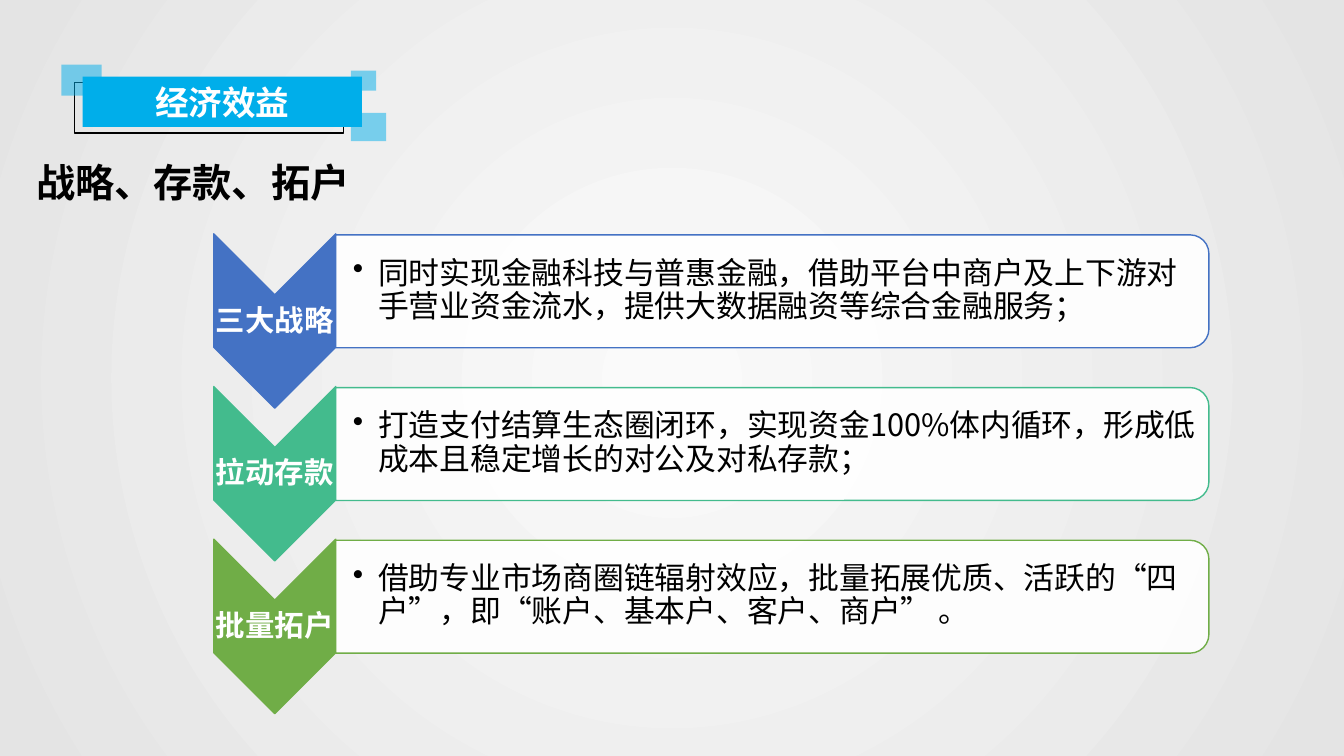
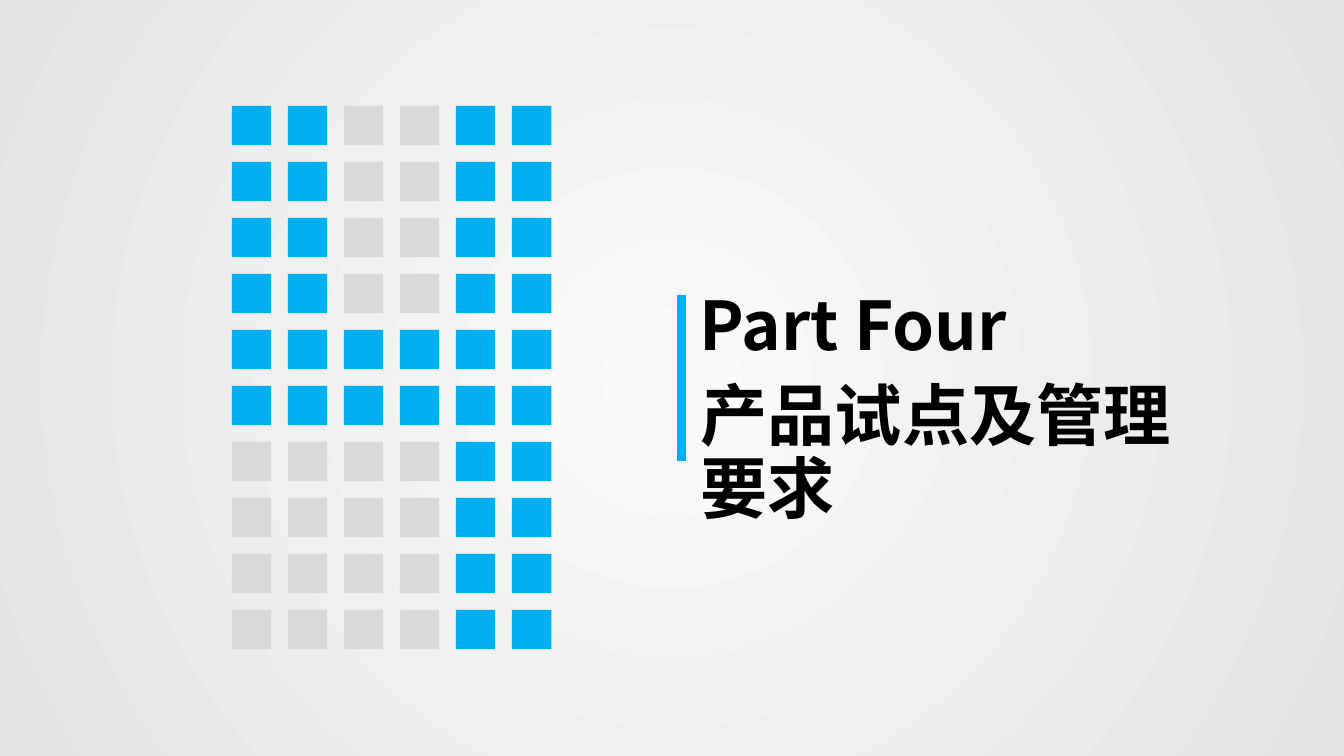
"""Build an economic benefits slide and a section slide."""
import pptx
import pptx.dml.color
import pptx.enum.shapes
import pptx.enum.text
import pptx.oxml.ns
import pptx.oxml.xmlchemy
import pptx.util

Inches = pptx.util.Inches
SHAPE = pptx.enum.shapes.MSO_SHAPE
ALIGN = pptx.enum.text.PP_ALIGN
ANCHOR = pptx.enum.text.MSO_ANCHOR
qn = pptx.oxml.ns.qn


def element(tag, **attributes):
    node = pptx.oxml.xmlchemy.OxmlElement(tag)
    for name, value in attributes.items():
        node.set(name, str(value))
    return node


class Deck:
    FONT = "Noto Sans CJK SC"
    COLORS = {
        "center": "FAFAFA", "edge": "E4E4E4", "black": "000000",
        "white": "FFFFFF", "banner": "00AEEA", "lit": "00B0F0",
        "unlit": "D9D9D9", "strategy": "4472C4", "deposit": "43BB8D",
        "customer": "70AD47",
    }

    def __init__(self):
        self.prs = pptx.Presentation()
        self.prs.slide_width = Inches(13.33)
        self.prs.slide_height = Inches(7.5)
        self.slide = None
        self.backdrop()

    def rgb(self, color):
        return pptx.dml.color.RGBColor.from_string(self.COLORS[color])

    def backdrop(self):
        master = self.prs.slide_master
        fill = master.background.fill
        fill.gradient()
        for stop, color in zip(fill.gradient_stops, ("center", "edge")):
            stop.color.rgb = self.rgb(color)
        gradient = master.element.find(".//" + qn("a:gradFill"))
        circle = element("a:path", path="circle")
        circle.append(element("a:fillToRect", l=50000, t=50000,
                              r=50000, b=50000))
        gradient.replace(gradient.find(qn("a:lin")), circle)

    def new_slide(self):
        self.slide = self.prs.slides.add_slide(self.prs.slide_layouts[6])

    def shape(self, kind, left, top, width, height, fill=None, line=None,
              opacity=100, turned=False):
        if turned:
            shift = (width - height) / 2
            left, top = left + shift, top - shift
            width, height = height, width
        shape = self.slide.shapes.add_shape(
            kind, Inches(left), Inches(top), Inches(width), Inches(height))
        shape.rotation = 90 if turned else 0
        shape.shadow.inherit = False
        if fill:
            shape.fill.solid()
            shape.fill.fore_color.rgb = self.rgb(fill)
        else:
            shape.fill.background()
        if opacity < 100:
            shape.element.spPr.find(".//" + qn("a:srgbClr")).append(
                element("a:alpha", val=opacity * 1000))
        if line:
            shape.line.color.rgb = self.rgb(line)
            shape.line.width = pptx.util.Pt(1)
        else:
            shape.line.fill.background()
        return shape

    def add_words(self, frame, words, size, color="black", bold=True,
                  align=ALIGN.LEFT, spacing=None, before=None):
        frame.word_wrap = True
        paragraph = frame.paragraphs[0]
        paragraph.alignment = align
        paragraph.line_spacing = spacing
        if before:
            paragraph.space_before = pptx.util.Pt(before)
        run = paragraph.add_run()
        run.text = words
        run.font.size = pptx.util.Pt(size)
        run.font.bold = bold
        run.font.color.rgb = self.rgb(color)
        run.font.name = self.FONT
        run.font._element.find(qn("a:latin")).addnext(
            element("a:ea", typeface=self.FONT))
        return paragraph

    def text(self, left, top, width, height, words, size,
             insets=(0.1, 0.05, 0.1, 0.05), anchor=ANCHOR.TOP, **style):
        frame = self.slide.shapes.add_textbox(
            Inches(left), Inches(top), Inches(width), Inches(height)).text_frame
        (frame.margin_left, frame.margin_top, frame.margin_right,
         frame.margin_bottom) = map(Inches, insets)
        frame.vertical_anchor = anchor
        return self.add_words(frame, words, size, **style)

    def bullet(self, paragraph, indent):
        props = paragraph._p.get_or_add_pPr()
        props.set("marL", str(Inches(indent)))
        props.set("indent", str(-Inches(indent)))
        props.append(element("a:buChar", char="•"))

    def banner(self, words):
        self.shape(SHAPE.RECTANGLE, 0.74, 0.82, 2.67, 0.5, line="black")
        for corner in ((3.48, 1.12, 0.35, 0.28), (3.48, 0.7, 0.25, 0.2),
                       (0.61, 0.64, 0.4, 0.31)):
            self.shape(SHAPE.RECTANGLE, *corner, fill="banner", opacity=50)
        plate = self.shape(SHAPE.RECTANGLE, 0.82, 0.76, 2.77, 0.5, "banner")
        plate.text_frame.vertical_anchor = ANCHOR.MIDDLE
        self.add_words(plate.text_frame, words, 24, "white",
                       align=ALIGN.CENTER)

    def benefit(self, top, color, label, detail):
        self.shape(SHAPE.CHEVRON, 2.12, top, 1.21, 1.73, color, color,
                   turned=True)
        self.text(2.12, top + 0.61, 1.21, 0.52, label, 21, (0.01,) * 4,
                  ANCHOR.MIDDLE, color="white", align=ALIGN.CENTER, spacing=0.9)
        self.shape(SHAPE.ROUND_2_SAME_RECTANGLE, 3.33, top + 0.01, 8.66, 1.12,
                   "white", color, opacity=90, turned=True)
        paragraph = self.text(3.33, top + 0.06, 8.61, 1.01, detail, 22,
                              (0.17, 0.02, 0.02, 0.02), ANCHOR.MIDDLE,
                              bold=False, spacing=0.9)
        self.bullet(paragraph, 0.25)

    def mosaic(self, left, top, side, pitch, rows):
        for row, cells in enumerate(rows):
            for column, cell in enumerate(cells):
                self.shape(SHAPE.RECTANGLE, left + column * pitch,
                           top + row * pitch, side, side,
                           "lit" if cell == "#" else "unlit")

    def rule(self, x, top, bottom, color, width):
        rule = self.slide.shapes.add_connector(
            pptx.enum.shapes.MSO_CONNECTOR.STRAIGHT,
            Inches(x), Inches(top), Inches(x), Inches(bottom))
        rule.line.color.rgb = self.rgb(color)
        rule.line.width = pptx.util.Pt(width)
        rule._element.spPr.append(element("a:effectLst"))


def benefits_slide(deck):
    deck.new_slide()
    benefits = (
        ("strategy", "三大战略",
         "同时实现金融科技与普惠金融，借助平台中商户及上下游对手营业资金流水，提供大数据融资等综合金融服务；"),
        ("deposit", "拉动存款",
         "打造支付结算生态圈闭环，实现资金100%体内循环，形成低成本且稳定增长的对公及对私存款；"),
        ("customer", "批量拓户",
         "借助专业市场商圈链辐射效应，批量拓展优质、活跃的“四户”，即“账户、基本户、客户、商户” 。"),
    )
    for index, benefit in enumerate(benefits):
        deck.benefit(2.32 + index * 3.03 / 2, *benefit)
    deck.text(0.26, 1.52, 9.45, 0.57, "战略、存款、拓户", 28)
    deck.banner("经济效益")


def section_slide(deck):
    deck.new_slide()
    four = ["##..##"] * 4 + ["######"] * 2 + ["....##"] * 4
    deck.mosaic(2.3, 1.05, 0.39, 5 / 9, four)
    deck.text(6.84, 2.85, 4.3, 0.9, "Part Four", 48, spacing=0.9, before=10)
    deck.text(6.85, 3.75, 4.87, 0.9, "产品试点及管理要求", 48,
              spacing=0.9, before=10)
    deck.rule(6.76, 2.93, 4.57, "lit", 6)


def main():
    deck = Deck()
    benefits_slide(deck)
    section_slide(deck)
    deck.prs.save("out.pptx")


if __name__ == "__main__":
    main()
